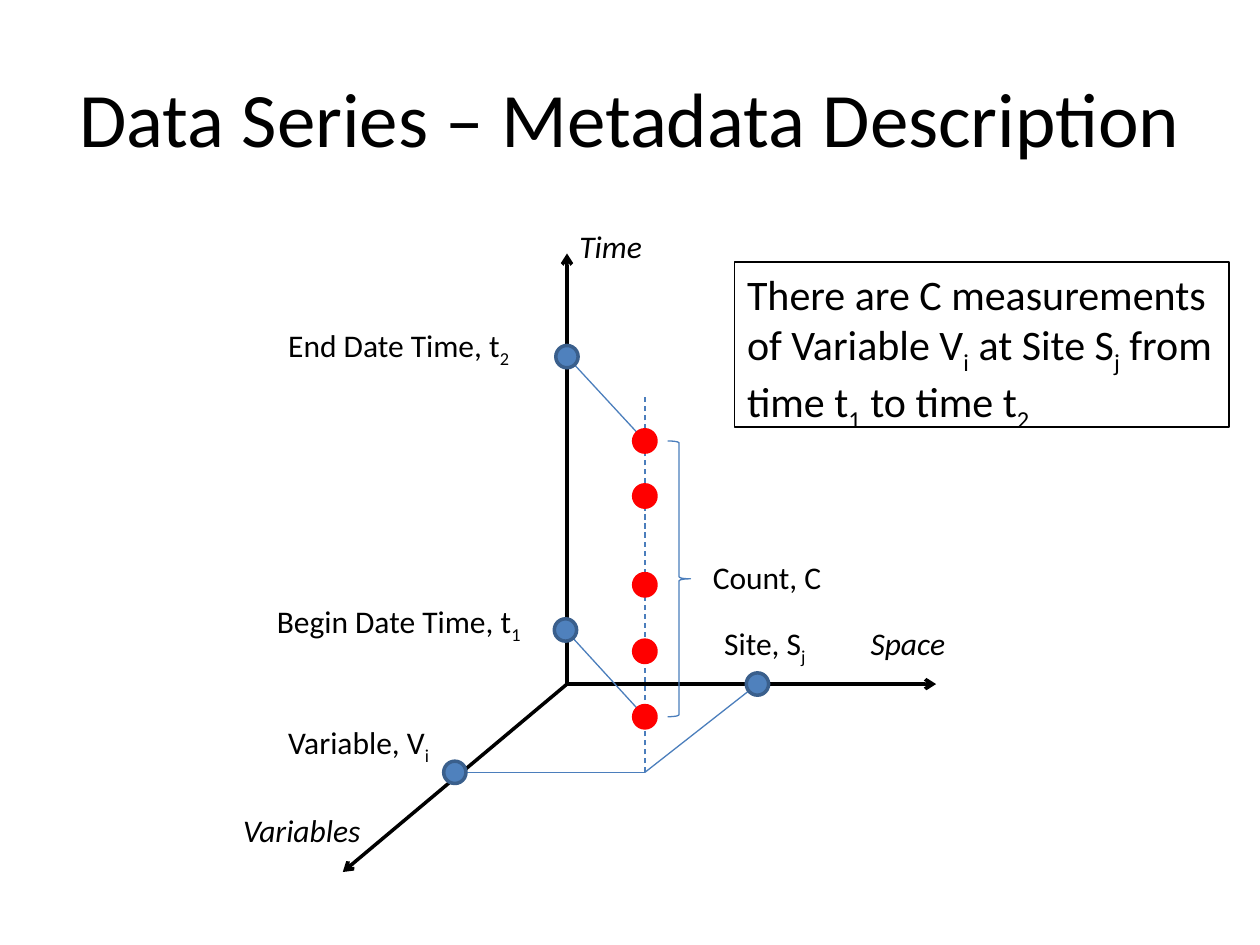
"""Build the data series slide: measurements along time, space and variable axes."""
from dataclasses import dataclass

from lxml import etree
from pptx import Presentation
from pptx import util as u
from pptx.dml.color import RGBColor
from pptx.enum import dml, shapes, text
from pptx.oxml.ns import qn

COLORS = {"ink": "000000", "guide": "4B7EBC", "mark": "4F81BD",
          "mark_edge": "3A5F8C", "value": "FF0000"}
FONT = "Calibri"
DOT = 0.45
LABEL_HEIGHT = 1.07

ORIGIN = (11.43, 13.79)
SITE = (15.27, 13.79)
VARIABLE = (9.17, 15.57)
BEGIN = (11.4, 12.7)
END = (11.43, 7.19)
SERIES_X = 13.0
FOOT = (SERIES_X, 15.57)
VALUE_YS = (8.89, 10.0, 11.79, 13.13, 14.45)


@dataclass(frozen=True)
class Line:
    start: tuple[float, float]
    end: tuple[float, float]
    color: str = "guide"
    width: float = 0.75
    dashed: bool = False
    arrow: bool = False


@dataclass(frozen=True)
class Dot:
    center: tuple[float, float]
    fill: str = "mark"
    edge: str = "mark_edge"


@dataclass(frozen=True)
class Label:
    left: float
    top: float
    width: float
    words: tuple[str, ...]
    italic: bool = False


LINES = [
    *(Line(ORIGIN, tip, "ink", 2, arrow=True)
      for tip in ((11.43, 5.11), (6.91, 17.58), (18.87, 13.79))),
    Line(FOOT, (SERIES_X, 8.0), dashed=True),
    Line(VARIABLE, FOOT),
    Line(FOOT, SITE),
    Line((SERIES_X, VALUE_YS[-1]), BEGIN),
    Line((SERIES_X, VALUE_YS[0]), END),
]
DOTS = [
    *(Dot(c) for c in (SITE, VARIABLE, BEGIN, END)),
    *(Dot((SERIES_X, y), "value", "value") for y in VALUE_YS),
]
LABELS = [
    Label(11.43, 4.45, 1.93, ("Time",), True),
    Label(17.3, 12.45, 2.18, ("Space",), True),
    Label(4.65, 16.23, 3.1, ("Variables",), True),
    Label(5.56, 6.45, 5.49, ("End Date Time, t", "2")),
    Label(5.33, 12.01, 6.15, ("Begin Date Time, t", "1")),
    Label(5.56, 14.45, 3.68, ("Variable, V", "i")),
    Label(14.35, 12.45, 2.39, ("Site, S", "j")),
    Label(14.12, 11.13, 2.92, ("Count, C",)),
]
SUMMARY = ("There are C measurements of Variable V", "i", " at Site S", "j",
           " from time t", "1", " to time t", "2")


def rgb(name: str) -> RGBColor:
    return RGBColor.from_string(COLORS[name])


def set_line(line, color: str, width: float) -> None:
    line.color.rgb = rgb(color)
    line.width = u.Pt(width)


def add_line(s, item: Line) -> None:
    cx = s.shapes.add_connector(shapes.MSO_CONNECTOR.STRAIGHT,
                                *map(u.Cm, item.start + item.end))
    set_line(cx.line, item.color, item.width)
    sp_pr = cx._element.spPr
    if item.dashed:
        cx.line.dash_style = dml.MSO_LINE.DASH
    if item.arrow:
        etree.SubElement(sp_pr.find(qn("a:ln")), qn("a:tailEnd"), type="arrow")
    etree.SubElement(sp_pr, qn("a:effectLst"))


def add_dot(s, dot: Dot) -> None:
    x, y = dot.center
    sp = s.shapes.add_shape(shapes.MSO_SHAPE.OVAL, u.Cm(x - DOT / 2),
                            u.Cm(y - DOT / 2), u.Cm(DOT), u.Cm(DOT))
    sp.shadow.inherit = False
    sp.fill.solid()
    sp.fill.fore_color.rgb = rgb(dot.fill)
    set_line(sp.line, dot.edge, 2)


def add_runs(p, words: tuple[str, ...], size: float, italic: bool = False) -> None:
    for i, word in enumerate(words):
        r = p.add_run()
        r.text = word
        r.font.name = FONT
        r.font.size = u.Pt(size)
        r.font.color.rgb = rgb("ink")
        if italic:
            r.font.italic = True
        if i % 2:
            r._r.get_or_add_rPr().set("baseline", "-25000")


def add_text(s, box: tuple[float, ...], words: tuple[str, ...], size: float,
             italic: bool = False, wrap: bool = False):
    sp = s.shapes.add_textbox(*map(u.Cm, box))
    tf = sp.text_frame
    tf.word_wrap = wrap
    tf.auto_size = text.MSO_AUTO_SIZE.SHAPE_TO_FIT_TEXT
    add_runs(tf.paragraphs[0], words, size, italic)
    return sp


def add_brace(s) -> None:
    sp = s.shapes.add_shape(shapes.MSO_SHAPE.RIGHT_BRACE, u.Cm(13.46), u.Cm(VALUE_YS[0]),
                            u.Cm(0.46), u.Cm(VALUE_YS[-1] - VALUE_YS[0]))
    sp.shadow.inherit = False
    sp.fill.background()
    set_line(sp.line, "guide", 0.75)


def main() -> None:
    prs = Presentation()
    prs.slide_width, prs.slide_height = u.Cm(25.4), u.Cm(19.05)
    s = prs.slides.add_slide(prs.slide_layouts[5])

    title = s.shapes.title
    title.left, title.top, title.width, title.height = map(u.Cm, (1.27, 0.76, 22.86, 3.18))
    p = title.text_frame.paragraphs[0]
    p.alignment = text.PP_ALIGN.CENTER
    add_runs(p, ("Data Series – Metadata Description",), 44)

    for line in LINES:
        add_line(s, line)
    for dot in DOTS:
        add_dot(s, dot)
    add_brace(s)
    for label in LABELS:
        add_text(s, (label.left, label.top, label.width, LABEL_HEIGHT),
                 label.words, 18, label.italic)
    box = add_text(s, (14.81, 5.28, 9.96, 3.33), SUMMARY, 24, wrap=True)
    set_line(box.line, "ink", 1)

    prs.save("out.pptx")


if __name__ == "__main__":
    main()
